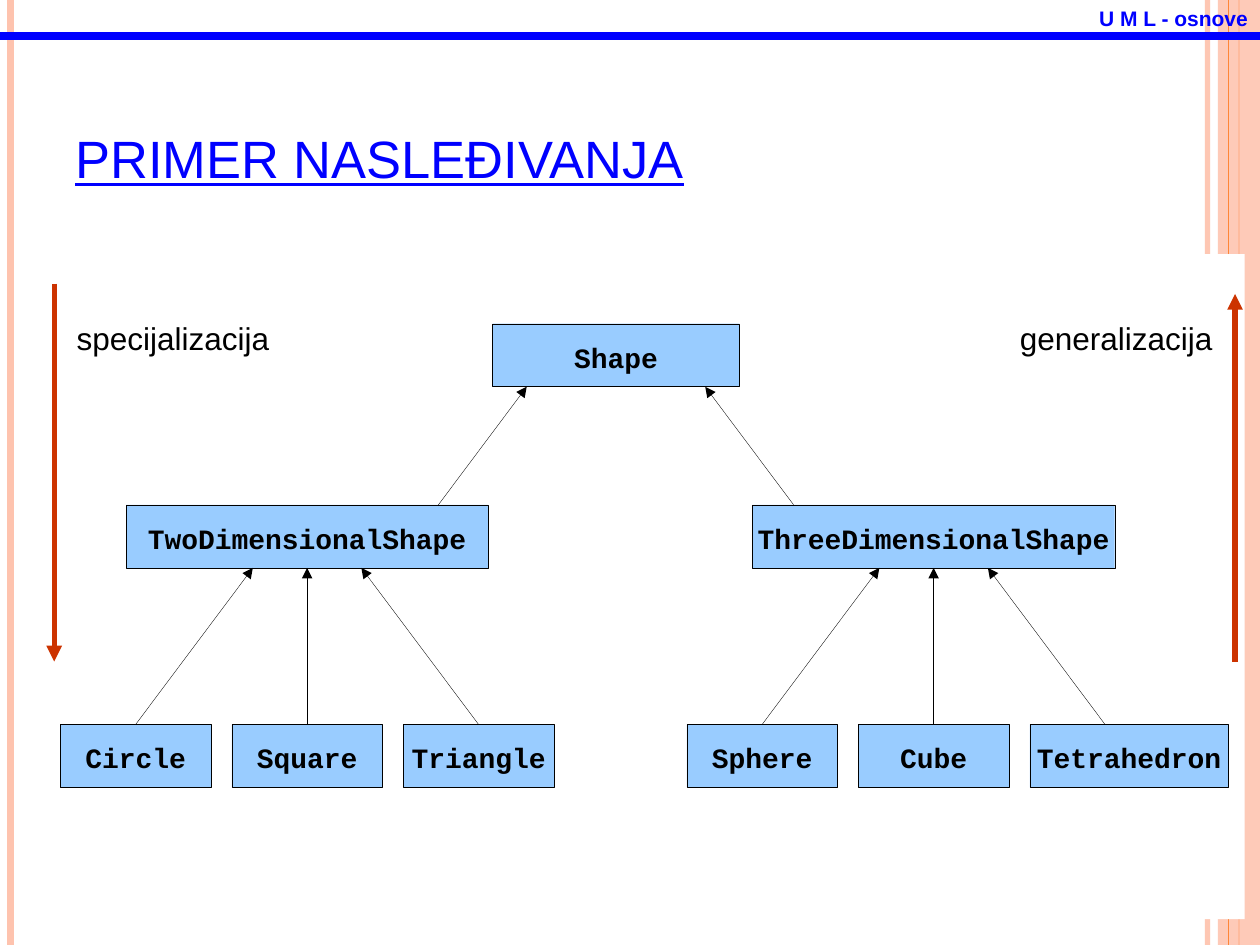
import pptx
import pptx.util
import pptx.dml.color
import pptx.enum.shapes
import pptx.enum.text
import pptx.oxml.ns
from lxml import etree

Pt = pptx.util.Pt
RGBColor = pptx.dml.color.RGBColor

BLUE = RGBColor(0x00, 0x00, 0xFF)
BLACK = RGBColor(0x00, 0x00, 0x00)
WHITE = RGBColor(0xFF, 0xFF, 0xFF)
PEACH = RGBColor(0xFE, 0xC3, 0xAE)
ORANGE = RGBColor(0xFE, 0x86, 0x37)
RED = RGBColor(0xCC, 0x33, 0x00)
BOX_BLUE = RGBColor(0x99, 0xCC, 0xFF)

presentation = pptx.Presentation()
presentation.slide_width = Pt(720)
presentation.slide_height = Pt(540)
slide = presentation.slides.add_slide(presentation.slide_layouts[6])
qn = pptx.oxml.ns.qn


def add_line(x1, y1, x2, y2, color, width, arrow=False):
    line = slide.shapes.add_connector(
        pptx.enum.shapes.MSO_CONNECTOR.STRAIGHT, Pt(x1), Pt(y1), Pt(x2), Pt(y2))
    line.line.color.rgb = color
    line.line.width = Pt(width)
    if arrow:
        etree.SubElement(line.line._get_or_add_ln(), qn("a:tailEnd"), type="triangle")
    etree.SubElement(line._element.spPr, qn("a:effectLst"))
    return line


def add_rectangle(left, top, width, height, color):
    shape = slide.shapes.add_shape(
        pptx.enum.shapes.MSO_SHAPE.RECTANGLE, Pt(left), Pt(top), Pt(width), Pt(height))
    shape.shadow.inherit = False
    shape.fill.solid()
    shape.fill.fore_color.rgb = color
    shape.line.fill.background()
    return shape


# Decorative stripes on both edges
outer_stripe = add_line(690, 0, 690, 540, PEACH, 3)
add_line(6, 0, 6, 540, PEACH, 4.5)
add_line(708, 0, 708, 540, ORANGE, 1.5)
band = add_rectangle(696, 0, 24, 540, PEACH)
add_line(702, 0, 702, 540, ORANGE, 0.75)
for part, opacity in ((outer_stripe.line.fill, 93), (band.fill, 87)):
    color_element = part._xPr.find(qn("a:solidFill"))[0]
    etree.SubElement(color_element, qn("a:alpha"), val=str(opacity * 1000))

# White panel behind the diagram and blue header rule
add_rectangle(25, 145.25, 686.25, 380, WHITE)
add_line(0, 20.5, 720, 20.5, BLUE, 4.5)

# Title, header and direction labels: text, left, top, width, height, size, colour
texts = [
    ("PRIMER NASLEĐIVANJA", 36, 21.6, 588, 90, 30, BLUE),
    ("U M L - osnove", 621, -0.5, 99.5, 21.8, 12, BLUE),
    ("specijalizacija", 36.7, 178.6, 124.5, 29, 18, BLACK),
    ("generalizacija", 575.7, 178.6, 124.5, 29, 18, BLACK),
]
for text, left, top, width, height, size, color in texts:
    text_box = slide.shapes.add_textbox(Pt(left), Pt(top), Pt(width), Pt(height))
    text_frame = text_box.text_frame
    text_frame.word_wrap = False
    text_frame.text = text
    font = text_frame.paragraphs[0].runs[0].font
    font.name = "Arial"
    font.size = Pt(size)
    font.color.rgb = color
    if size == 30:
        text_frame.word_wrap = True
        text_frame.vertical_anchor = pptx.enum.text.MSO_ANCHOR.BOTTOM
        font.underline = True
    font.bold = size == 12

# Class boxes: name, left, top, width
BOX_HEIGHT = 36
ROOT_TOP, PARENT_TOP, LEAF_TOP = 185, 288.5, 414
PARENT_WIDTH, LEAF_WIDTH, LEAF_PITCH = 207, 86, 98
ROOT_CENTER = 352
families = [
    ("TwoDimensionalShape", 175.5, ["Circle", "Square", "Triangle"]),
    ("ThreeDimensionalShape", 533.5, ["Sphere", "Cube", "Tetrahedron"]),
]
classes = [("Shape", ROOT_CENTER - 70.5, ROOT_TOP, 141)]
for parent, center, leaves in families:
    classes.append((parent, center - PARENT_WIDTH / 2, PARENT_TOP, PARENT_WIDTH))
    for index, leaf in enumerate(leaves):
        left = center + (index - 1) * LEAF_PITCH - LEAF_WIDTH / 2
        width = 113.5 if leaf == "Tetrahedron" else LEAF_WIDTH
        classes.append((leaf, left, LEAF_TOP, width))

boxes = {}
for name, left, top, width in classes:
    box = add_rectangle(left, top, width, BOX_HEIGHT, BOX_BLUE)
    box.line.color.rgb = BLACK
    box.line.width = Pt(0.2)
    text_frame = box.text_frame
    text_frame.word_wrap = False
    text_frame.margin_left = text_frame.margin_right = text_frame.margin_bottom = 0
    text_frame.margin_top = Pt(2)
    text_frame.vertical_anchor = pptx.enum.text.MSO_ANCHOR.MIDDLE
    text_frame.text = name
    paragraph = text_frame.paragraphs[0]
    paragraph.alignment = pptx.enum.text.PP_ALIGN.CENTER
    font = paragraph.runs[0].font
    font.name = "Courier New"
    font.size = Pt(16)
    font.bold = True
    font.color.rgb = BLACK
    boxes[name] = box

# Inheritance arrows, from each class up to its parent
for side, (parent, center, leaves) in zip((-1, 1), families):
    add_line(ROOT_CENTER + side * 101.5, PARENT_TOP,
             ROOT_CENTER + side * 51, ROOT_TOP + BOX_HEIGHT, BLACK, 0.2, arrow=True)
    for offset, leaf in zip((-1, 0, 1), leaves):
        arrow = add_line(center + offset * LEAF_PITCH, LEAF_TOP,
                         center + offset * 31, PARENT_TOP + BOX_HEIGHT,
                         BLACK, 0.2, arrow=True)
        if leaf != "Tetrahedron":
            arrow.begin_connect(boxes[leaf], 0)
        if offset == 0:
            arrow.end_connect(boxes[parent], 2)

# Direction arrows
add_line(31, 162, 31, 378, RED, 3, arrow=True)
add_line(705.75, 378, 705.75, 168, RED, 3, arrow=True)

presentation.save("out.pptx")
